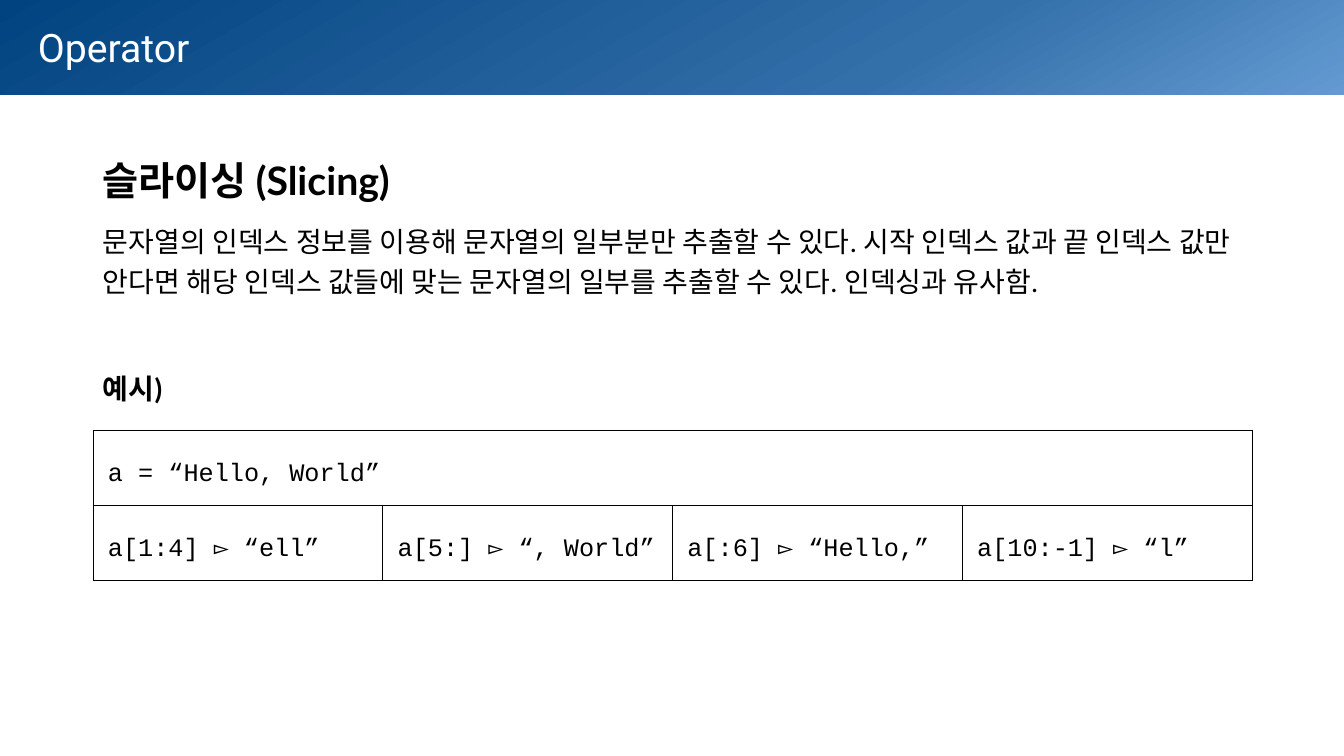
import copy
from dataclasses import dataclass

import pptx
import pptx.dml.color
import pptx.enum.shapes
import pptx.enum.text
import pptx.oxml
import pptx.oxml.ns
import pptx.util

EMU_PER_PX = 914400 / 100.8


@dataclass(frozen=True)
class Theme:
    ink: str = "000000"
    header_ink: str = "FFFFFF"
    header_gradient: tuple = ((0, "649AD2"), (0.33, "336FA9"), (1, "014380"))
    header_angle: int = 120
    header_font: str = "Roboto"
    body_font: str = "Lato"
    code_font: str = "Courier New"
    heading_size: int = 28
    body_size: int = 20
    code_size: int = 18
    border_width: float = 0.5


THEME = Theme()


def px(length):
    return pptx.util.Emu(round(length * EMU_PER_PX))


def rgb(value):
    return pptx.dml.color.RGBColor.from_string(value)


def style(paragraph, font_name, size, color, bold=False):
    paragraph.font.name = font_name
    paragraph.font.size = pptx.util.Pt(size)
    paragraph.font.color.rgb = rgb(color)
    paragraph.font.bold = bold


def add_header(slide, box, title):
    left, top, width, height = box
    # Gradient band
    band = slide.shapes.add_shape(
        pptx.enum.shapes.MSO_SHAPE.RECTANGLE, *map(px, box))
    band.shadow.inherit = False
    band.line.fill.background()
    band.fill.gradient()
    band.fill.gradient_angle = THEME.header_angle
    stops = band.element.spPr.find(".//" + pptx.oxml.ns.qn("a:gsLst"))
    stops.insert(1, copy.deepcopy(stops[0]))
    for stop, (position, color) in zip(band.fill.gradient_stops, THEME.header_gradient):
        stop.position = position
        stop.color.rgb = rgb(color)

    # Title
    label = slide.shapes.add_textbox(
        px(left + 28), px(top + 18), px(211), px(57)).text_frame
    label.word_wrap = False
    label.auto_size = pptx.enum.text.MSO_AUTO_SIZE.SHAPE_TO_FIT_TEXT
    label.text = title
    style(label.paragraphs[0], THEME.header_font, THEME.heading_size, THEME.header_ink)


def add_explanation(slide, box, passages):
    body = slide.shapes.add_textbox(*map(px, box)).text_frame
    body.word_wrap = True
    for index, (text, size, bold, space_before) in enumerate(passages):
        passage = body.add_paragraph() if index else body.paragraphs[0]
        passage.text = text
        passage.line_spacing = 1.2
        passage.space_before = pptx.util.Pt(space_before)
        style(passage, THEME.body_font, size, THEME.ink, bold)


def add_borders(cell):
    properties = cell._tc.get_or_add_tcPr()
    width = pptx.util.Pt(THEME.border_width)
    for side in ("lnL", "lnR", "lnT", "lnB"):
        properties.append(pptx.oxml.parse_xml(
            f'<a:{side} {pptx.oxml.ns.nsdecls("a")} w="{width}"><a:solidFill>'
            f'<a:srgbClr val="{THEME.ink}"/></a:solidFill></a:{side}>'))


def add_slicing_table(slide, box, definition, examples):
    examples_table = slide.shapes.add_table(2, len(examples), *map(px, box)).table
    examples_table.first_row = False
    examples_table.horz_banding = False

    # Plain bordered cells
    for cell in examples_table.iter_cells():
        add_borders(cell)
        cell.fill.background()
        cell.vertical_anchor = pptx.enum.text.MSO_ANCHOR.MIDDLE
        cell.margin_left = cell.margin_right = px(15)
        cell.margin_top = cell.margin_bottom = px(15)

    # Definition across the top, one example per column below
    examples_table.cell(0, 0).merge(examples_table.cell(0, len(examples) - 1))
    code_cells = [(examples_table.cell(0, 0), definition)]
    code_cells += [(examples_table.cell(1, column), example)
                   for column, example in enumerate(examples)]
    for cell, code in code_cells:
        cell.text = code
        line = cell.text_frame.paragraphs[0]
        line.line_spacing = 1.5
        style(line, THEME.code_font, THEME.code_size, THEME.ink)


def main():
    presentation = pptx.Presentation()
    presentation.slide_width = px(1344)
    presentation.slide_height = px(756)
    slide = presentation.slides.add_slide(presentation.slide_layouts[6])

    add_header(slide, (0, 0, 1344, 95), "Operator")
    add_explanation(slide, (93, 142, 1159, 579), [
        ("슬라이싱 (Slicing)", THEME.heading_size, True, 10),
        ("문자열의 인덱스 정보를 이용해 문자열의 일부분만 추출할 수 있다. "
         "시작 인덱스 값과 끝 인덱스 값만 안다면 해당 인덱스 값들에 맞는 "
         "문자열의 일부를 추출할 수 있다. 인덱싱과 유사함.",
         THEME.body_size, False, 10),
        ("예시)", THEME.body_size, True, 48),
    ])
    add_slicing_table(
        slide, (93, 430, 1159, 143), "a = “Hello, World”",
        ["a[1:4] ▻ “ell”", "a[5:] ▻ “, World”", "a[:6] ▻ “Hello,”", "a[10:-1] ▻ “l”"])

    presentation.save("out.pptx")


if __name__ == "__main__":
    main()
